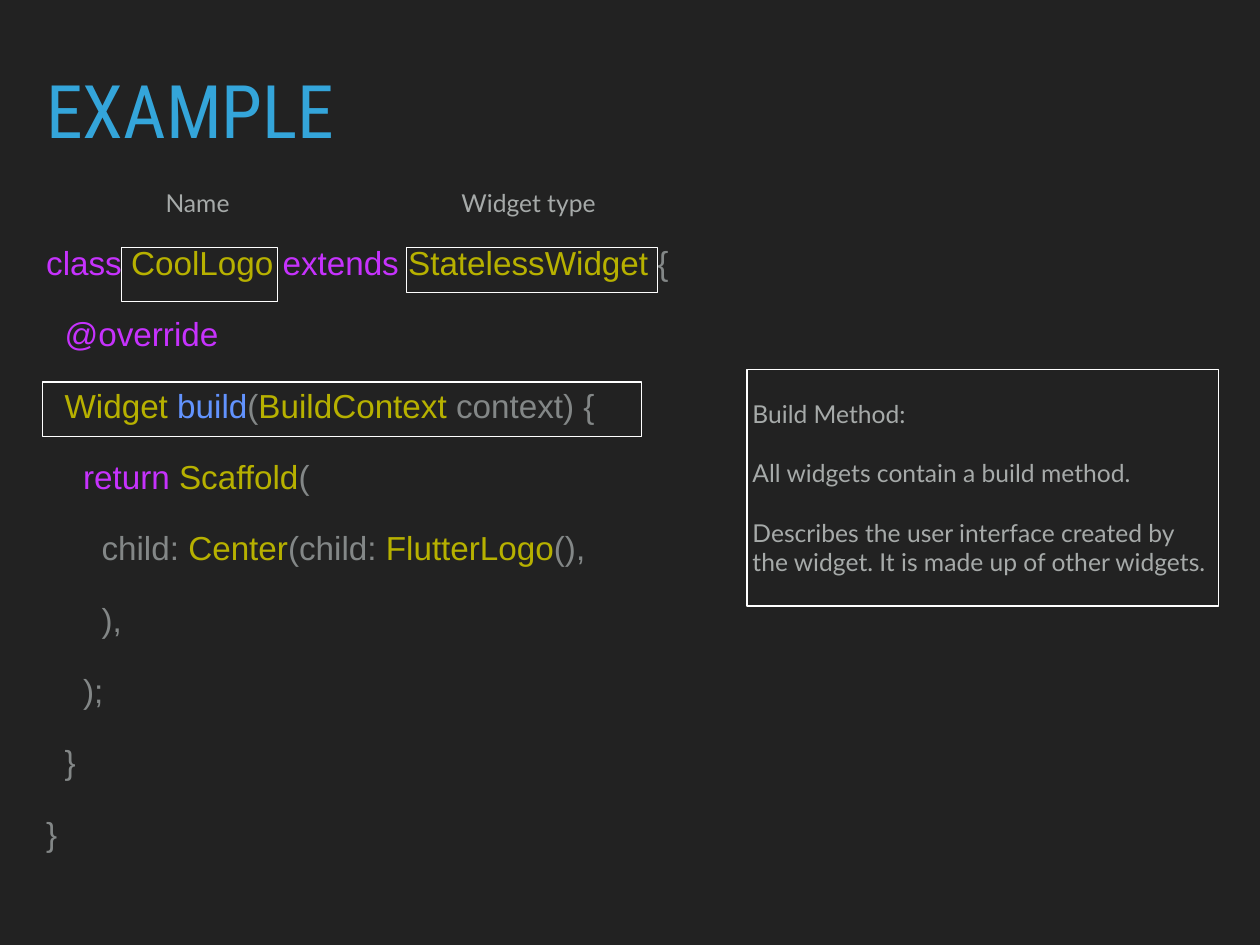
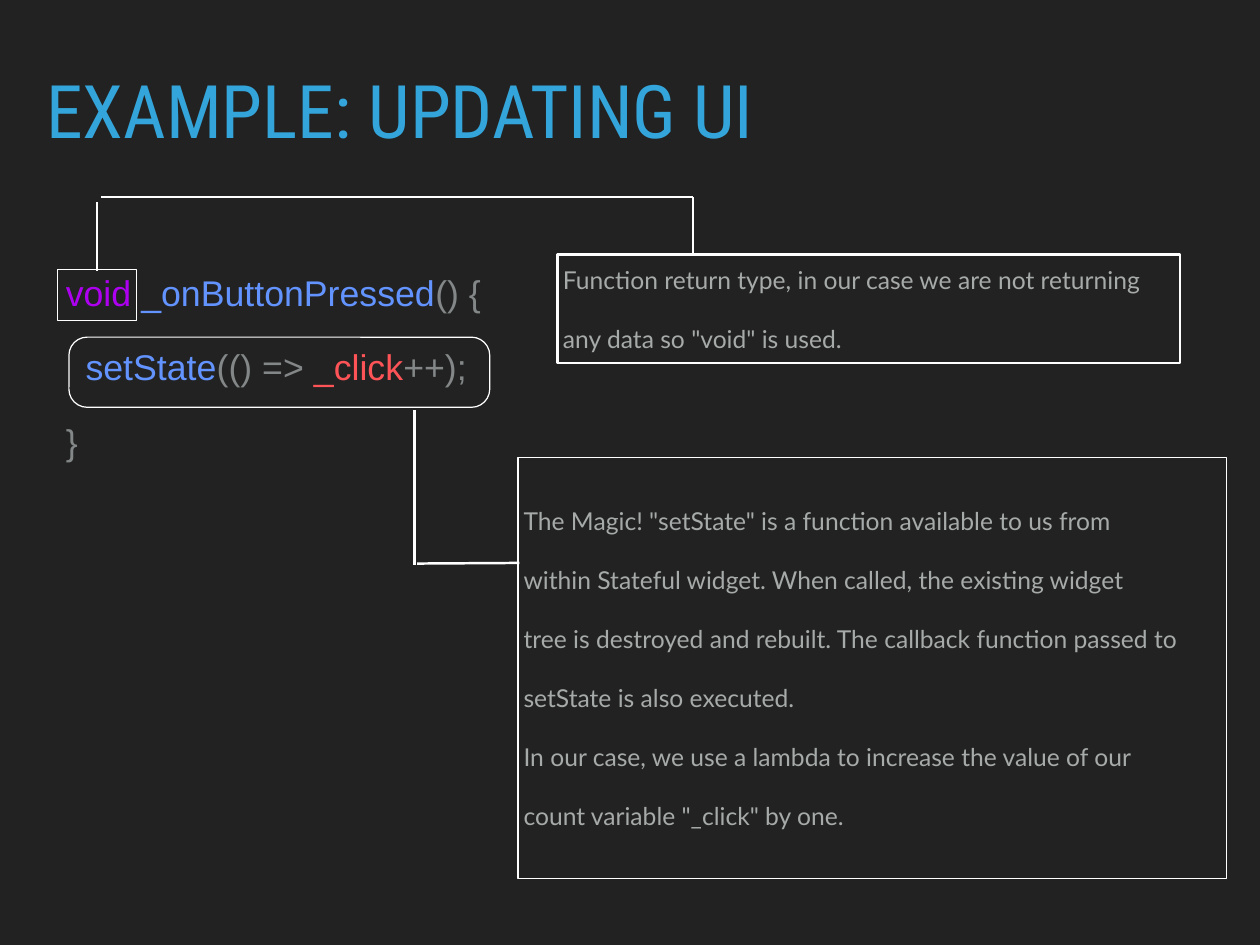
"""Build two dark slides that explain a widget class and a state update."""
from lxml import etree
from pptx import Presentation
from pptx.dml.color import RGBColor
from pptx.enum import shapes as kinds, text as txt
from pptx.oxml import ns
from pptx.util import Pt

BACKGROUND = RGBColor(0x22, 0x22, 0x22)
TITLE = RGBColor(0x34, 0xA5, 0xDA)
NOTE = RGBColor(0xA6, 0xAA, 0xA9)
OUTLINE = RGBColor(0xFF, 0xFF, 0xFF)
PLAIN = RGBColor(0x83, 0x87, 0x87)
KEYWORD = RGBColor(0xC6, 0x32, 0xFD)
RETURN_TYPE = RGBColor(0xAE, 0x00, 0xF0)
CLASS = RGBColor(0xB7, 0xB1, 0x00)
FUNCTION = RGBColor(0x62, 0x93, 0xFE)
VARIABLE = RGBColor(0xFF, 0x54, 0x57)

RECT = kinds.MSO_SHAPE.RECTANGLE
ROUNDED = kinds.MSO_SHAPE.ROUNDED_RECTANGLE
INSET = 4.5

SLIDES = [
    {
        "title": "EXAMPLE",
        "code_box": (33, 195, 750, 500),
        "code_size": 27,
        "code_indent": 15,
        "code": [
            (0, [("class ", KEYWORD), ("CoolLogo ", CLASS), ("extends ", KEYWORD),
                 ("StatelessWidget", CLASS), (" {", PLAIN)]),
            (1, [("@override", KEYWORD)]),
            (1, [("Widget ", CLASS), ("build", FUNCTION), ("(", PLAIN),
                 ("BuildContext", CLASS), (" context) {", PLAIN)]),
            (2, [("return ", KEYWORD), ("Scaffold", CLASS), ("(", PLAIN)]),
            (3, [("child: ", PLAIN), ("Center", CLASS), ("(child: ", PLAIN),
                 ("FlutterLogo", CLASS), ("(),", PLAIN)]),
            (3, [("),", PLAIN)]),
            (2, [(");", PLAIN)]),
            (1, [("}", PLAIN)]),
            (0, [("}", PLAIN)]),
        ],
        "frames": [
            (RECT, (34.5, 310.5, 487, 44), 1, []),
            (RECT, (330.5, 201, 204, 36.5), 1, []),
            (RECT, (98.5, 201, 127, 44), 1, []),
            (RECT, (607, 300.5, 383.5, 192), 1, [
                "Build Method:",
                "All widgets contain a build method.",
                "Describes the user interface created by the widget. "
                "It is made up of other widgets.",
            ]),
        ],
        "labels": [("Name", (130, 147.5, 65, 35)),
                   ("Widget type", (370.5, 147.5, 123, 35))],
        "leaders": [],
    },
    {
        "title": "EXAMPLE: UPDATING UI",
        "code_box": (33, 208, 400, 180),
        "code_size": 29,
        "code_indent": 16,
        "code": [
            (1, [("void ", RETURN_TYPE), ("_onButtonPressed", FUNCTION), ("() {", PLAIN)]),
            (2, [("setState", FUNCTION), ("(() => ", PLAIN),
                 ("_click", VARIABLE), ("++);", PLAIN)]),
            (1, [("}", PLAIN)]),
        ],
        "frames": [
            (RECT, (47, 219, 64, 41.5), 1, []),
            (RECT, (453, 207, 506, 88), 2, [
                "Function return type, in our case we are not returning",
                'any data so "void" is used.',
            ]),
            (ROUNDED, (56, 274, 342, 57), 1, []),
            (RECT, (421, 372, 576, 342), 1, [
                'The Magic! "setState" is a function available to us from',
                "within Stateful widget. When called, the existing widget",
                "tree is destroyed and rebuilt. The callback function passed to",
                "setState is also executed.",
                "In our case, we use a lambda to increase the value of our",
                'count variable "_click" by one.',
            ]),
        ],
        "labels": [],
        "leaders": [(79, 220, 79, 164), (82, 160, 563, 160), (563, 206, 563, 160),
                    (337, 459, 337, 333), (339, 458, 422, 457.5)],
    },
]


def points(values):
    return [Pt(value) for value in values]


def place(part, box):
    part.left, part.top, part.width, part.height = points(box)


def prepare(frame):
    frame.word_wrap = True
    frame.auto_size = txt.MSO_AUTO_SIZE.NONE
    frame.vertical_anchor = txt.MSO_ANCHOR.MIDDLE
    frame.margin_left = frame.margin_right = Pt(INSET)
    frame.margin_top = frame.margin_bottom = Pt(INSET)


def style(paragraph, font, size, color, before=24):
    paragraph.alignment = txt.PP_ALIGN.LEFT
    paragraph.space_before = Pt(before)
    paragraph.font.name = font
    paragraph.font.size = Pt(size)
    paragraph.font.color.rgb = color


def paragraphs(frame, items):
    for index, item in enumerate(items):
        yield (frame.add_paragraph() if index else frame.paragraphs[0]), item


def write_notes(frame, lines):
    prepare(frame)
    for paragraph, line in paragraphs(frame, lines):
        paragraph.text = line
        style(paragraph, "Lato", 20, NOTE)


def write_title(title, wording):
    place(title, (33, 61, 958, 68))
    prepare(title.text_frame)
    heading = title.text_frame.paragraphs[0]
    heading.text = wording
    heading.line_spacing = 0.8
    style(heading, "Roboto Condensed", 60, TITLE, 28)


def write_code(body, box, size, indent, lines):
    place(body, box)
    prepare(body.text_frame)
    for paragraph, (level, tokens) in paragraphs(body.text_frame, lines):
        properties = paragraph._p.get_or_add_pPr()
        properties.set("marL", str(Pt(level * indent)))
        properties.set("indent", "0")
        etree.SubElement(properties, ns.qn("a:buNone"))
        style(paragraph, "Arial", size, PLAIN, 25.5)
        for wording, color in tokens:
            token = paragraph.add_run()
            token.text = wording
            token.font.color.rgb = color


def add_frame(slide, kind, box, weight, notes):
    frame = slide.shapes.add_shape(kind, *points(box))
    frame.shadow.inherit = False
    frame.fill.background()
    frame.line.color.rgb = OUTLINE
    frame.line.width = Pt(weight)
    if kind == ROUNDED:
        frame.adjustments[0] = 0.26
    if notes:
        write_notes(frame.text_frame, notes)


def add_leader(slide, ends):
    leader = slide.shapes.add_connector(kinds.MSO_CONNECTOR.STRAIGHT, *points(ends))
    leader.line.color.rgb = OUTLINE
    leader.line.width = Pt(2)
    etree.SubElement(leader._element.spPr, ns.qn("a:effectLst"))


def main():
    deck = Presentation()
    deck.slide_width, deck.slide_height = Pt(1024), Pt(768)
    backdrop = deck.slide_master.background.fill
    backdrop.solid()
    backdrop.fore_color.rgb = BACKGROUND
    for content in SLIDES:
        slide = deck.slides.add_slide(deck.slide_layouts[1])
        write_title(slide.shapes.title, content["title"])
        write_code(slide.placeholders[1], content["code_box"], content["code_size"],
                   content["code_indent"], content["code"])
        for frame in content["frames"]:
            add_frame(slide, *frame)
        for wording, box in content["labels"]:
            write_notes(slide.shapes.add_textbox(*points(box)).text_frame, [wording])
        for ends in content["leaders"]:
            add_leader(slide, ends)
    deck.save("out.pptx")


if __name__ == "__main__":
    main()
